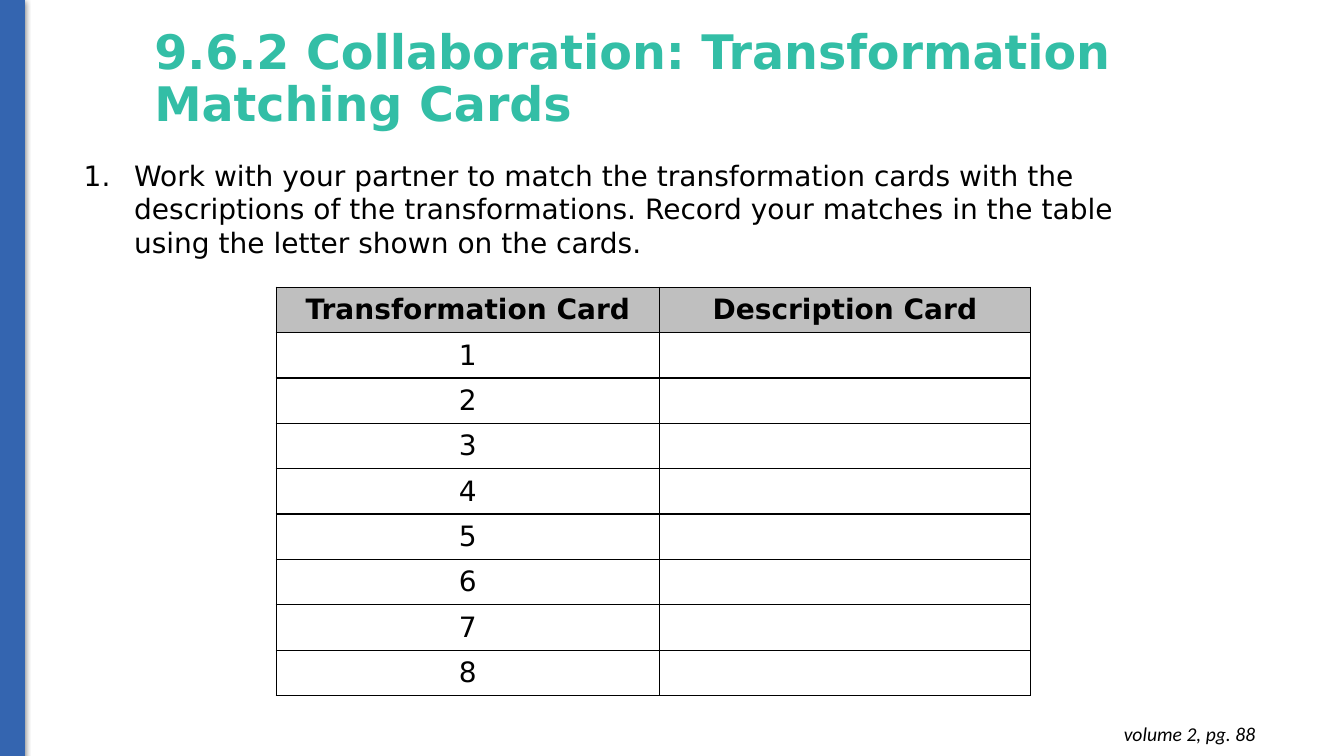
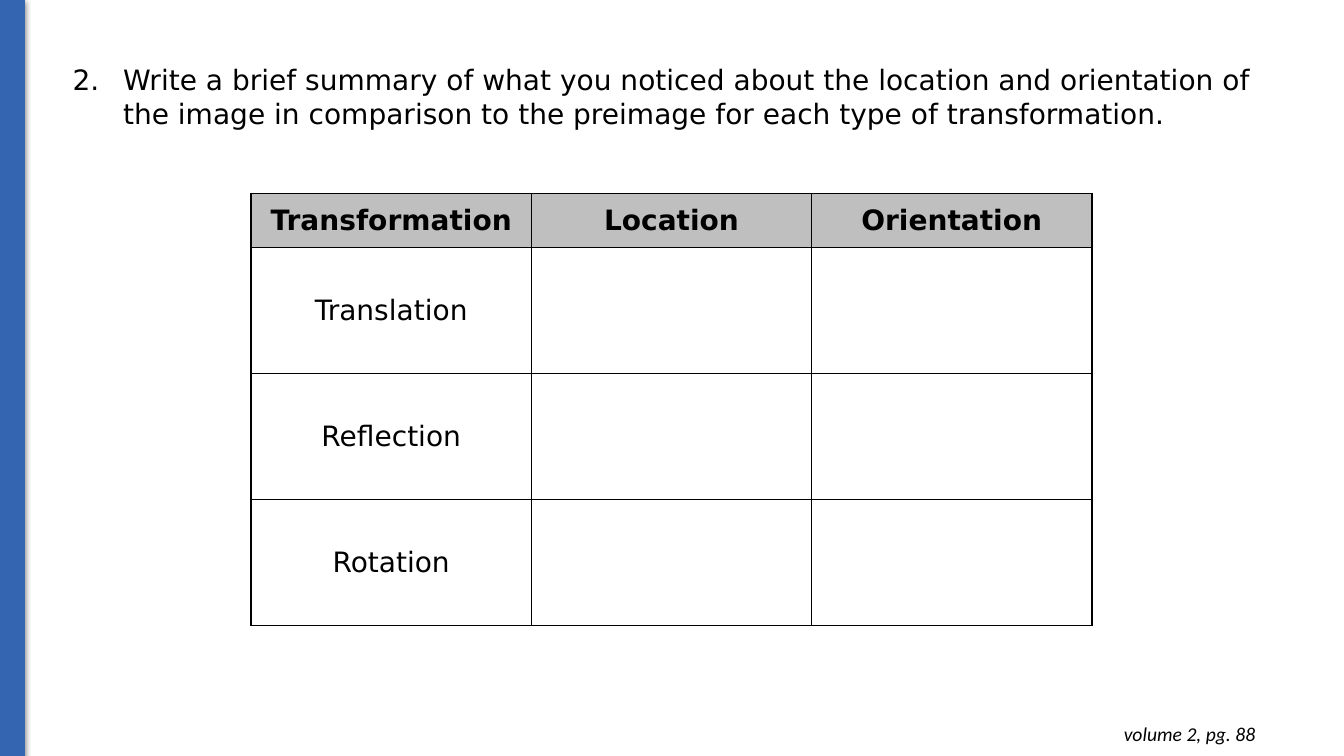
from lxml import etree
from pptx import Presentation
from pptx import util as u
from pptx.dml.color import RGBColor
from pptx.enum import shapes, text
from pptx.oxml import parse_xml
from pptx.oxml.ns import nsdecls, qn

HUES = {"blue": "3465B0", "teal": "33BEA6", "grey": "BFBFBF", "black": "000000"}
MAIN, NOTE = "DejaVu Sans", "Calibri"
LEFT, MID, RIGHT = text.PP_ALIGN.LEFT, text.PP_ALIGN.CENTER, text.PP_ALIGN.RIGHT


def hue(name):
    """Return a palette colour."""
    return RGBColor.from_string(HUES[name])


def write(frame, words, size=20, font=MAIN, color="black", bold=False,
          italic=False, align=LEFT, space=1.0):
    """Write one formatted paragraph into a text frame."""
    frame.word_wrap = True
    par = frame.paragraphs[0]
    par.alignment = align
    par.line_spacing = space
    par.space_before = u.Pt(0)
    run = par.add_run()
    run.text = words
    run.font.size = u.Pt(size)
    run.font.name = font
    run.font.bold = bold
    run.font.italic = italic
    run.font.color.rgb = hue(color)


def place(shape, box):
    """Move a shape to a box in inches."""
    shape.left, shape.top, shape.width, shape.height = map(u.Inches, box)


def band(slide, box):
    """Draw the shadowed side band."""
    bar = slide.shapes.add_shape(shapes.MSO_SHAPE.RECTANGLE, *map(u.Inches, box))
    bar.fill.solid()
    bar.fill.fore_color.rgb = hue("blue")
    bar.line.color.rgb = hue("blue")
    bar.line.width = u.Pt(0.75)
    bar.shadow.inherit = False
    glow = parse_xml(
        f'<a:outerShdw {nsdecls("a")} blurRad="{u.Pt(4.5)}" dist="{u.Pt(1.5)}" '
        f'dir="5400000" rotWithShape="0"><a:srgbClr val="{HUES["black"]}">'
        '<a:alpha val="50000"/></a:srgbClr></a:outerShdw>')
    bar._element.spPr.find(qn("a:effectLst")).append(glow)


def foot(slide, words, box):
    """Write the page note at the lower right."""
    note = slide.shapes.add_textbox(*map(u.Inches, box))
    frame = note.text_frame
    frame.margin_left = frame.margin_right = u.Inches(0.1)
    frame.margin_top = frame.margin_bottom = u.Inches(0.1)
    write(frame, words, size=14, font=NOTE, italic=True, align=RIGHT)


def head(slide, words, box):
    """Fill the title, or remove it when there are no words."""
    title = slide.shapes.title
    if not words:
        title._element.getparent().remove(title._element)
        return
    place(title, box)
    frame = title.text_frame
    frame.auto_size = text.MSO_AUTO_SIZE.NONE
    frame.vertical_anchor = text.MSO_ANCHOR.MIDDLE
    write(frame, words, size=34, color="teal", bold=True, space=0.9)


def task(slide, num, words, box):
    """Fill the body with one numbered task."""
    body = slide.placeholders[1]
    place(body, box)
    frame = body.text_frame
    frame.auto_size = text.MSO_AUTO_SIZE.NONE
    props = frame.paragraphs[0]._p.get_or_add_pPr()
    props.set("marL", str(u.Inches(0.5)))
    props.set("indent", str(u.Inches(-0.5)))
    tint = etree.SubElement(props, qn("a:buClr"))
    etree.SubElement(tint, qn("a:srgbClr"), val=HUES["black"])
    etree.SubElement(props, qn("a:buFontTx"))
    etree.SubElement(props, qn("a:buAutoNum"), type="arabicPeriod", startAt=str(num))
    write(frame, words)


def edge(cell):
    """Rule all four sides of a cell."""
    props = cell._tc.get_or_add_tcPr()
    for side in "LRTB":
        line = etree.SubElement(props, qn(f"a:ln{side}"), w=str(u.Pt(1)))
        fill = etree.SubElement(line, qn("a:solidFill"))
        etree.SubElement(fill, qn("a:srgbClr"), val=HUES["black"])


def grid(slide, heads, names, spot, cols, top, row, pad):
    """Draw a table with a grey head row and a named first column."""
    size = sum(cols), top + row * len(names)
    frame = slide.shapes.add_table(len(names) + 1, len(cols),
                                   *map(u.Inches, (*spot, *size)))
    table = frame.table
    table.first_row = table.horz_banding = False
    for col, width in zip(table.columns, cols):
        col.width = u.Inches(width)
    rows = [heads] + [[name] + [""] * (len(cols) - 1) for name in names]
    for r, words in enumerate(rows):
        table.rows[r].height = u.Inches(row if r else top)
        for c, word in enumerate(words):
            cell = table.cell(r, c)
            edge(cell)
            cell.margin_top = cell.margin_bottom = u.Inches(pad)
            cell.vertical_anchor = text.MSO_ANCHOR.MIDDLE
            if r:
                cell.fill.background()
            else:
                cell.fill.solid()
                cell.fill.fore_color.rgb = hue("grey")
            if word:
                write(cell.text_frame, word, bold=r == 0, align=MID)


def page(deck, num, words, box, title=""):
    """Add a slide with its band, title, task and page note."""
    slide = deck.slides.add_slide(deck.slide_layouts[1])
    band(slide, (0, 0, 0.24, 7.51))
    head(slide, title, (1.43, 0.07, 10.09, 1.45))
    task(slide, num, words, box)
    foot(slide, "volume 2, pg. 88", (9.67, 7.06, 2.88, 0.44))
    return slide


def main():
    """Build and save the deck."""
    deck = Presentation()
    deck.slide_width, deck.slide_height = u.Inches(13.33), u.Inches(7.5)
    match = page(
        deck, 1,
        "Work with your partner to match the transformation cards with the "
        "descriptions of the transformations. Record your matches in the table "
        "using the letter shown on the cards.",
        (0.73, 1.52, 11.17, 1.11),
        title="9.6.2 Collaboration: Transformation Matching Cards")
    grid(match, ["Transformation Card", "Description Card"],
         [str(n) for n in range(1, 9)], (2.74, 2.85), (3.8, 3.68), 0.45, 0.45, 0.05)
    recap = page(
        deck, 2,
        "Write a brief summary of what you noticed about the location and "
        "orientation of the image in comparison to the preimage for each type "
        "of transformation.",
        (0.62, 0.57, 12.09, 0.77))
    grid(recap, ["Transformation", "Location", "Orientation"],
         ["Translation", "Reflection", "Rotation"],
         (2.49, 1.92), (2.78,) * 3, 0.5, 1.25, 0.1)
    deck.save("out.pptx")


if __name__ == "__main__":
    main()
